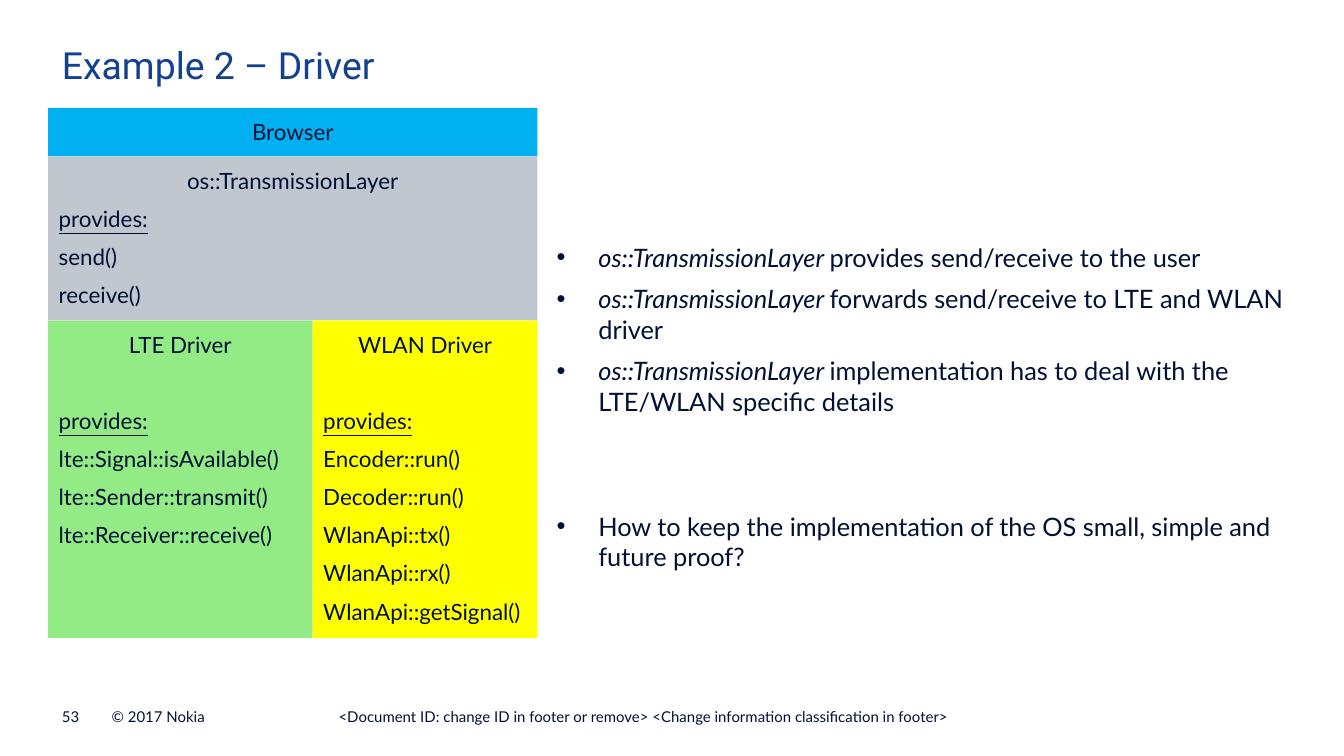
from lxml import etree
from pptx import Presentation
from pptx import util as u
from pptx.dml.color import RGBColor
from pptx.enum import shapes, text
from pptx.oxml.ns import qn

INK = "001135"
LEFT, WIDTH, INSET = 0.91, 9.25, 0.2

# Content: a paragraph is a list of (text, style) runs
TITLE = "Example 2 – Driver"
LAYER = ("os::TransmissionLayer", ["send()", "receive()"])
DRIVERS = [  # name, functions, fill, width in cm
    ("LTE Driver",
     ["lte::Signal::isAvailable()", "lte::Sender::transmit()",
      "lte::Receiver::receive()"], "93EB85", 5),
    ("WLAN Driver",
     ["Encoder::run()", "Decoder::run()", "WlanApi::tx()", "WlanApi::rx()",
      "WlanApi::getSignal()"], "FFFF00", 4.25),
]
LAYER_POINTS = [
    "provides send/receive to the user",
    "forwards send/receive to LTE and WLAN driver",
    "implementation has to deal with the LTE/WLAN specific details",
]
QUESTION = "How to keep the implementation of the OS small, simple and future proof?"
FOOTERS = [  # left, width, text
    (1.17, 0.7, "53"),
    (2.11, 5, "© 2017 Nokia"),
    (6.4, 12.6, "<Document ID: change ID in footer or remove> "
                "<Change information classification in footer>"),
]


def rgb(color):
    return RGBColor.from_string(color)


def add_text(tf, runs, size=12, font="Lato", color=INK, center=False,
             after=0, bullet=False):
    """Append one paragraph, using the empty first one if it is free."""
    p = tf.paragraphs[0]
    if p.runs:
        p = tf.add_paragraph()
    if bullet:
        pPr = p._p.get_or_add_pPr()
        pPr.set("marL", str(u.Cm(0.79)))
        pPr.set("indent", str(u.Cm(-0.79)))
        etree.SubElement(pPr, qn("a:buFont"), typeface="Arial")
        etree.SubElement(pPr, qn("a:buChar"), char="•")
    p.alignment = text.PP_ALIGN.CENTER if center else text.PP_ALIGN.LEFT
    p.space_after = u.Pt(after)
    for words, style in runs:
        r = p.add_run()
        r.text = words
        r.font.size, r.font.name = u.Pt(size), font
        r.font.color.rgb = rgb(color)
        if style == "underline":
            r.font.underline = True
        elif style == "italic":
            r.font.italic = True


def set_frame(sp, inset=0, anchor=text.MSO_ANCHOR.TOP):
    tf = sp.text_frame
    tf.word_wrap = True
    tf.vertical_anchor = anchor
    tf.margin_left = tf.margin_right = u.Cm(inset)
    tf.margin_top = tf.margin_bottom = u.Cm(inset)
    return tf


def add_box(s, x, y, w, h, **frame):
    return set_frame(s.shapes.add_textbox(*map(u.Cm, (x, y, w, h))), **frame)


def add_block(s, x, y, w, h, fill, name, functions=(), name_after=6):
    sp = s.shapes.add_shape(shapes.MSO_SHAPE.RECTANGLE,
                            *map(u.Cm, (x, y, w, h)))
    sp.shadow.inherit = False
    sp.fill.solid()
    sp.fill.fore_color.rgb = rgb(fill)
    sp.line.fill.background()
    tf = set_frame(sp, INSET)
    add_text(tf, [(name, None)], center=True, after=name_after)
    if functions:
        add_text(tf, [("provides:", "underline")], after=6)
    for function in functions:
        add_text(tf, [(function, None)], after=6)


prs = Presentation()
prs.slide_width, prs.slide_height = u.Cm(25.4), u.Cm(14.29)
s = prs.slides.add_slide(prs.slide_layouts[6])

# Title
add_text(add_box(s, 1.17, 0.79, 23.1, 0.86), [(TITLE, None)],
         size=20, font="Roboto", color="124191")

# Layer stack, top to bottom
add_block(s, LEFT, 2.04, WIDTH, 0.92, "00B0F0", "Browser")
add_block(s, LEFT, 2.96, WIDTH, 3.1, "C1C7CE", *LAYER)
x = LEFT
for name, functions, fill, w in DRIVERS:
    add_block(s, x, 6.06, w, 6, fill, name, functions, name_after=26.4)
    x += w

# Bullet points, with a wide gap before the question
tf = add_box(s, 10.52, 4.57, 13.8, 6.25)
for point in LAYER_POINTS:
    add_text(tf, [(LAYER[0] + " ", "italic"), (point, None)], size=13.6,
             after=50.6 if point == LAYER_POINTS[-1] else 6, bullet=True)
add_text(tf, [(QUESTION, None)], size=13.6, after=6, bullet=True)

# Footer
for x, w, words in FOOTERS:
    tf = add_box(s, x, 13.38, w, 0.34, anchor=text.MSO_ANCHOR.BOTTOM)
    add_text(tf, [(words, None)], size=8)

prs.save("out.pptx")
